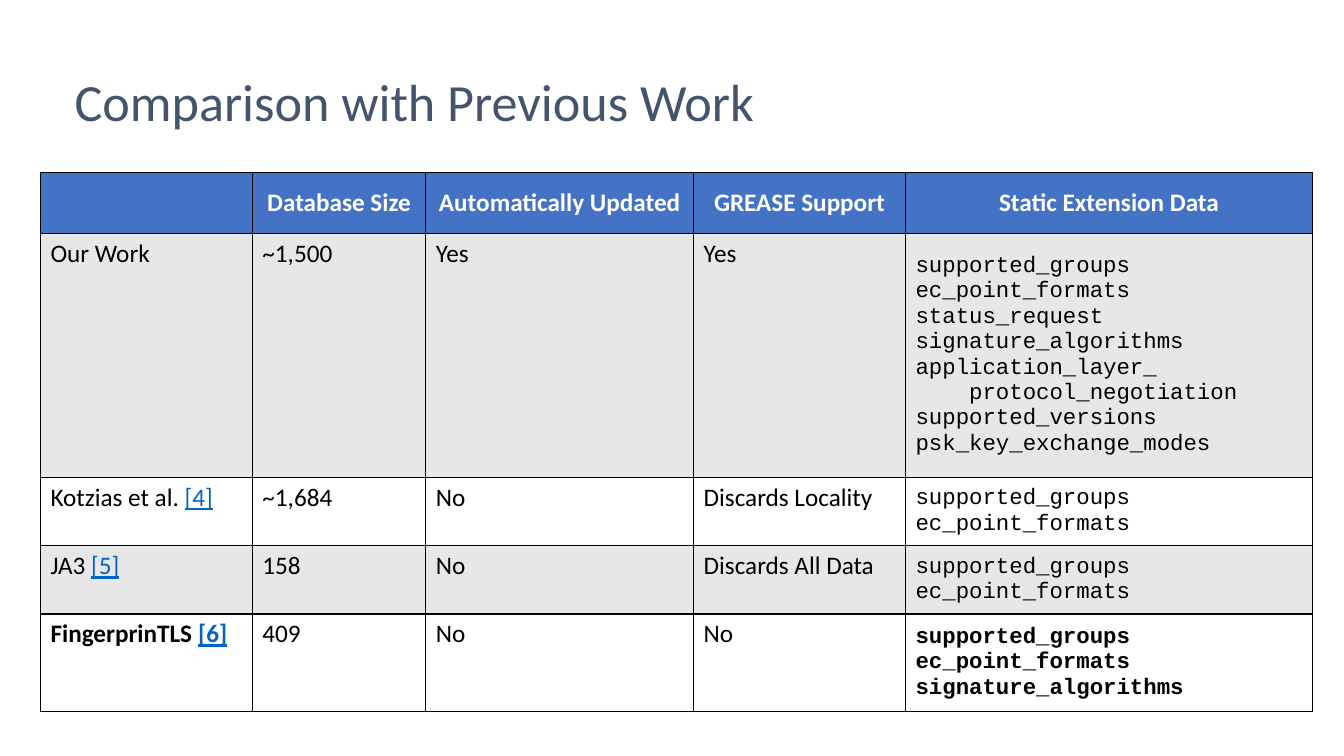
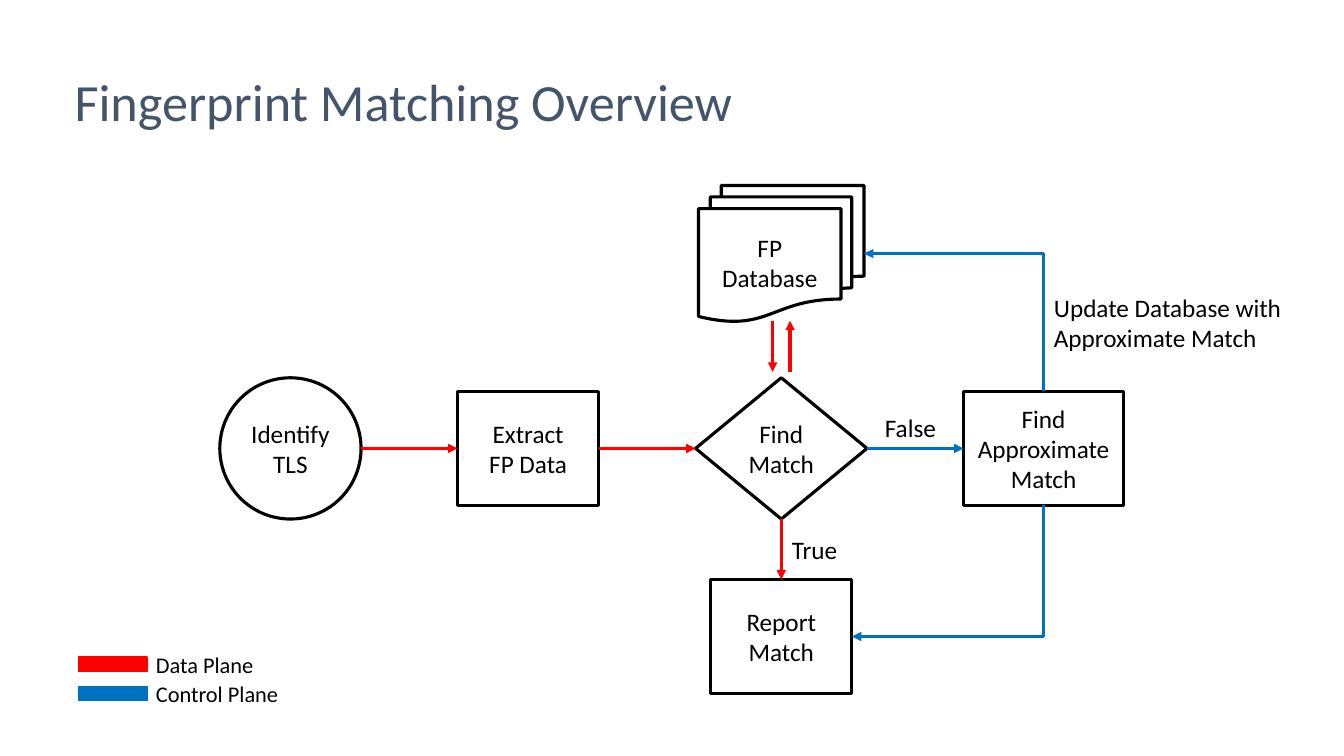
import pptx
import pptx.dml.color
import pptx.enum.shapes
import pptx.enum.text
import pptx.oxml
import pptx.oxml.ns
import pptx.util
from dataclasses import dataclass

Cm = pptx.util.Cm
Pt = pptx.util.Pt
SHAPE = pptx.enum.shapes.MSO_SHAPE
CONNECTOR = pptx.enum.shapes.MSO_CONNECTOR
ALIGN = pptx.enum.text.PP_ALIGN
ANCHOR = pptx.enum.text.MSO_ANCHOR
TOP, LEFT, BOTTOM, RIGHT = range(4)


@dataclass(frozen=True)
class Theme:
    # Colours
    title: str = "44546A"
    ink: str = "000000"
    paper: str = "FFFFFF"
    header: str = "4472C4"
    band: str = "E7E7E7"
    link: str = "0563C1"
    data_plane: str = "FF0000"
    control_plane: str = "0070C0"
    # Type
    font: str = "Calibri"
    code_font: str = "Courier New"
    title_size: float = 37.3
    body_size: float = 18
    small_size: float = 16
    # Lines
    flow_line: float = 2.25
    thin_line: float = 1


def rgb(value):
    return pptx.dml.color.RGBColor.from_string(value)


def drawing_element(tag, content="", **attributes):
    listed = "".join(f' {key}="{value}"' for key, value in attributes.items())
    return pptx.oxml.parse_xml(
        f"<a:{tag} {pptx.oxml.ns.nsdecls('a')}{listed}>{content}</a:{tag}>")


class Deck:
    def __init__(self, theme):
        self.theme = theme
        self.presentation = pptx.Presentation()
        self.presentation.slide_width = Cm(33.87)
        self.presentation.slide_height = Cm(19.05)
        self.slide = None

    def new_slide(self, title):
        blank = self.presentation.slide_layouts[6]
        self.slide = self.presentation.slides.add_slide(blank)
        heading = self.label(1.63, 1.27, 30.91, 2.72, [title],
                             size=self.theme.title_size, color=self.theme.title)
        heading.vertical_anchor = ANCHOR.MIDDLE
        heading.paragraphs[0].line_spacing = 0.9

    def add_lines(self, frame, lines, align=ALIGN.LEFT, **style):
        """Each line is a string or a list of (text, style changes) runs."""
        for index, line in enumerate(lines):
            paragraph = frame.add_paragraph() if index else frame.paragraphs[0]
            paragraph.alignment = align
            runs = [(line, {})] if isinstance(line, str) else line
            for text, changes in runs:
                self.add_run(paragraph, text, **{**style, **changes})

    def add_run(self, paragraph, text, size=None, color=None, font=None,
                bold=False, underline=False):
        run = paragraph.add_run()
        run.text = text
        run.font.name = font or self.theme.font
        run.font.size = Pt(size or self.theme.body_size)
        run.font.color.rgb = rgb(color or self.theme.ink)
        run.font.bold = bold
        run.font.underline = underline

    def label(self, left, top, width, height, lines, wrap=True, **style):
        box = self.slide.shapes.add_textbox(
            Cm(left), Cm(top), Cm(width), Cm(height))
        box.text_frame.word_wrap = wrap
        self.add_lines(box.text_frame, lines, **style)
        return box.text_frame

    def shape(self, kind, left, top, width, height, fill, line, weight):
        shape = self.slide.shapes.add_shape(
            kind, Cm(left), Cm(top), Cm(width), Cm(height))
        shape.shadow.inherit = False
        shape.fill.solid()
        shape.fill.fore_color.rgb = rgb(fill)
        shape.line.color.rgb = rgb(line)
        shape.line.width = Pt(weight)
        return shape

    def node(self, kind, center_x, center_y, width, height, lines):
        node = self.shape(kind, center_x - width / 2, center_y - height / 2,
                          width, height, self.theme.paper, self.theme.ink,
                          self.theme.flow_line)
        node.text_frame.word_wrap = True
        node.text_frame.margin_left = node.text_frame.margin_right = 0
        node.text_frame.vertical_anchor = ANCHOR.MIDDLE
        self.add_lines(node.text_frame, lines, align=ALIGN.CENTER)
        return node

    def connector(self, kind, color, arrow_end, start, end):
        """An end is an (x, y) point in cm or a (shape, side) pair."""
        joined = [not isinstance(place[0], (int, float)) for place in (start, end)]
        points = [(0, 0) if glued else place
                  for glued, place in zip(joined, (start, end))]
        connector = self.slide.shapes.add_connector(
            kind, *(Cm(value) for point in points for value in point))
        if joined[0]:
            connector.begin_connect(*start)
        if joined[1]:
            connector.end_connect(*end)
        connector.line.color.rgb = rgb(color)
        connector.line.width = Pt(self.theme.flow_line)
        properties = connector._element.spPr
        properties.find(pptx.oxml.ns.qn("a:ln")).append(
            drawing_element(arrow_end, type="triangle"))
        properties.append(drawing_element("effectLst"))
        return connector

    def arrow(self, start, end, color):
        self.connector(CONNECTOR.STRAIGHT, color, "tailEnd", start, end)

    def corner_arrow(self, source, target, color):
        # Drawn from the target, so the single bend leaves it horizontally
        elbow = self.connector(CONNECTOR.ELBOW, color, "headEnd", target, source)
        geometry = elbow._element.spPr.find(pptx.oxml.ns.qn("a:prstGeom"))
        geometry.set("prst", "bentConnector2")

    def table(self, left, top, widths, heights):
        table = self.slide.shapes.add_table(
            len(heights), len(widths), Cm(left), Cm(top),
            Cm(sum(widths)), Cm(sum(heights))).table
        table.horz_banding = False
        for column, width in zip(table.columns, widths):
            column.width = Cm(width)
        for row, height in zip(table.rows, heights):
            row.height = Cm(height)
        return table

    def cell(self, cell, lines, fill, middle=False, **style):
        cell.fill.solid()
        cell.fill.fore_color.rgb = rgb(fill)
        cell.vertical_anchor = ANCHOR.MIDDLE if middle else ANCHOR.TOP
        self.add_lines(cell.text_frame, lines, **style)
        ink = f'<a:solidFill><a:srgbClr val="{self.theme.ink}"/></a:solidFill>'
        for index, side in enumerate(("lnL", "lnR", "lnT", "lnB")):
            border = drawing_element(side, ink, w=Pt(self.theme.thin_line))
            cell._tc.get_or_add_tcPr().insert(index, border)


def comparison_slide(deck):
    theme = deck.theme
    deck.new_slide("Comparison with Previous Work")

    # Table content
    headings = ["", "Database Size", "Automatically Updated",
                "GREASE Support", "Static Extension Data"]
    common = ["supported_groups", "ec_point_formats"]
    works = [
        ("Our Work", "", "~1,500", "Yes", "Yes",
         common + ["status_request", "signature_algorithms",
                   "application_layer_", "    protocol_negotiation",
                   "supported_versions", "psk_key_exchange_modes"]),
        ("Kotzias et al. ", "[4]", "~1,684", "No", "Discards Locality", common),
        ("JA3 ", "[5]", "158", "No", "Discards All Data", common),
        ("FingerprinTLS ", "[6]", "409", "No", "No",
         common + ["signature_algorithms"]),
    ]
    table = deck.table(1.02, 4.34, [5.34, 4.37, 6.75, 5.34, 10.26],
                       [1.54, 6.15, 1.72, 1.72, 2.46])

    # Header row
    for column, heading in enumerate(headings):
        deck.cell(table.cell(0, column), [heading] if heading else [],
                  theme.header, middle=True, align=ALIGN.CENTER,
                  color=theme.paper, bold=True)

    # One row per work, the last one emphasised
    for row, (work, citation, *facts, extensions) in enumerate(works, 1):
        fill = theme.band if row % 2 else theme.paper
        bold = row == len(works)
        name = [(work, {})]
        if citation:
            name.append((citation, {"color": theme.link, "underline": True}))
        deck.cell(table.cell(row, 0), [name], fill, bold=bold)
        for column, fact in enumerate(facts, 1):
            deck.cell(table.cell(row, column), [fact], fill)
        deck.cell(table.cell(row, 4), extensions, fill, middle=True, bold=bold,
                  font=theme.code_font, size=theme.small_size)


def overview_slide(deck):
    theme = deck.theme
    data, control = theme.data_plane, theme.control_plane
    deck.new_slide("Fingerprint Matching Overview")

    # Steps, placed by their centres
    flow_y, match_x = 11.3, 19.69
    step_width, step_height, round_size = 3.56, 2.87, 3.56
    identify_x = 7.32
    deck.node(SHAPE.OVAL, identify_x, flow_y, round_size, round_size,
              ["Identify", "TLS"])
    extract = deck.node(SHAPE.RECTANGLE, 13.31, flow_y, step_width, step_height,
                        ["Extract", "FP Data"])
    match = deck.node(SHAPE.DIAMOND, match_x, flow_y, 4.32, round_size,
                      ["Find Match"])
    approximate = deck.node(SHAPE.RECTANGLE, 26.3, flow_y, 4.04, step_height,
                            ["Find", "Approximate", "Match"])
    database = deck.node(SHAPE.FLOWCHART_MULTIDOCUMENT, match_x, 6.39, 4.17, 3.43,
                         ["FP", "Database"])
    report = deck.node(SHAPE.RECTANGLE, match_x, 16.04, step_width, step_height,
                       ["Report", "Match"])

    # Data plane
    deck.arrow((identify_x + round_size / 2, flow_y), (extract, LEFT), data)
    deck.arrow((extract, RIGHT), (match, LEFT), data)
    deck.arrow((match, BOTTOM), (report, TOP), data)
    query_top, query_bottom, query_offset = 8.08, 9.37, 0.22
    deck.arrow((match_x + query_offset, query_bottom),
               (match_x + query_offset, query_top), data)
    deck.arrow((match_x - query_offset, query_top),
               (match_x - query_offset, query_bottom), data)

    # Control plane
    deck.arrow((match, RIGHT), (approximate, LEFT), control)
    deck.corner_arrow((approximate, BOTTOM), (report, RIGHT), control)
    deck.corner_arrow((approximate, TOP), (database, RIGHT), control)

    # Arrow labels
    deck.label(22.05, 10.26, 2.06, 1.02, ["False"])
    deck.label(19.71, 13.34, 1.75, 1.02, ["True"])
    deck.label(26.31, 7.24, 6.43, 1.8,
               ["Update Database with", "Approximate Match"])

    # Legend
    for index, (plane, color) in enumerate(
            [("Data Plane", data), ("Control Plane", control)]):
        top = 16.28 + 0.74 * index
        deck.shape(SHAPE.RECTANGLE, 1.98, top + 0.28, 1.73, 0.36,
                   color, color, theme.thin_line)
        deck.label(3.68, top, 3.63, 0.94, [plane], wrap=False,
                   size=theme.small_size)


def main():
    deck = Deck(Theme())
    comparison_slide(deck)
    overview_slide(deck)
    deck.presentation.save("out.pptx")


if __name__ == "__main__":
    main()
